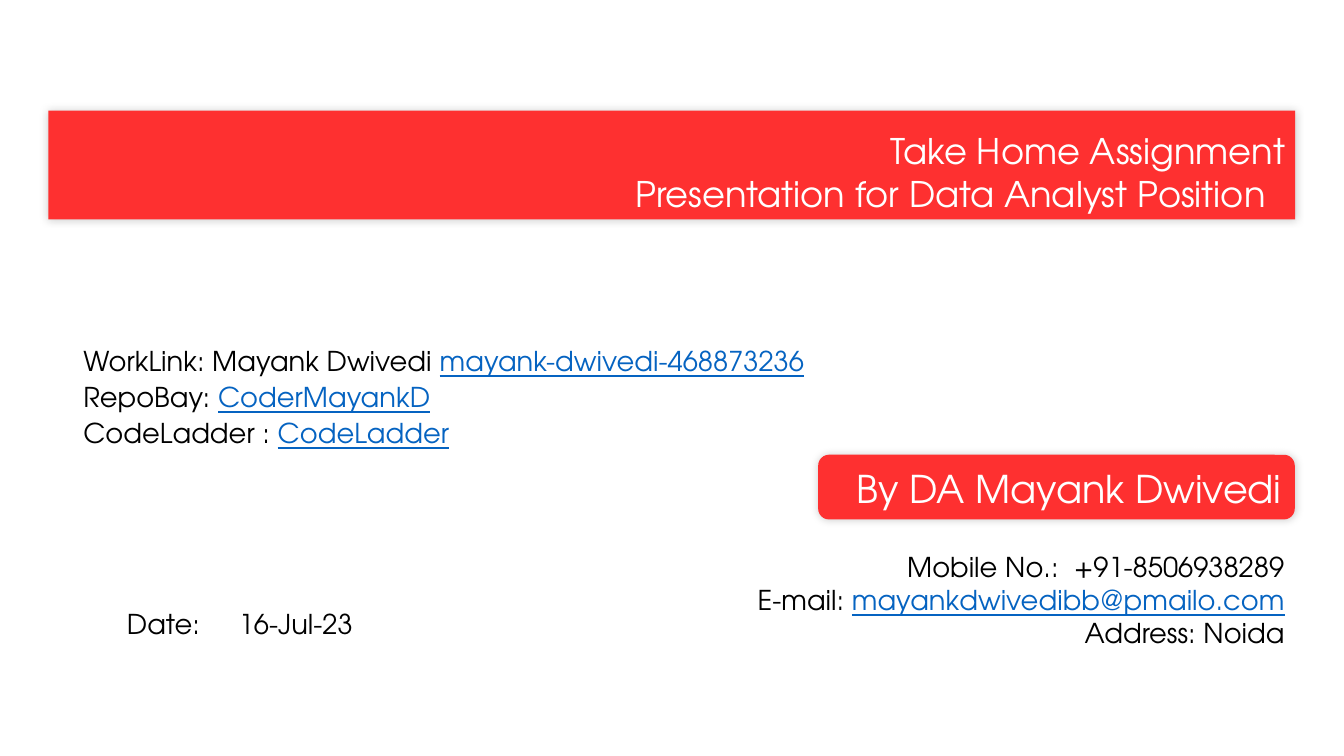
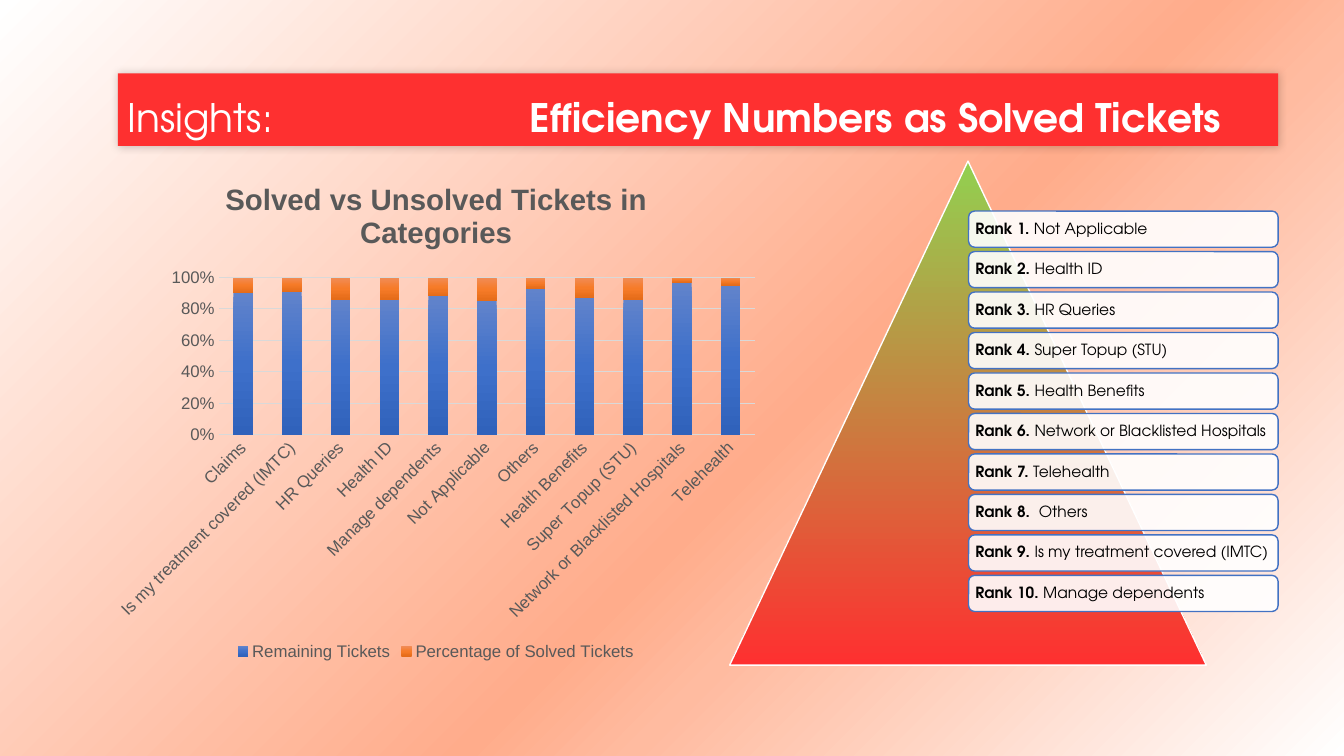
from pptx import Presentation
from pptx.chart.data import CategoryChartData
from pptx.dml.color import RGBColor
from pptx.enum.chart import XL_CHART_TYPE as ChartType, XL_LEGEND_POSITION as LegendSpot, XL_TICK_MARK as Tick
from pptx.enum.shapes import MSO_SHAPE as Preset
from pptx.enum.text import MSO_ANCHOR as Anchor, PP_ALIGN as Align
from pptx.oxml import parse_xml
from pptx.oxml.ns import nsdecls
from pptx.util import Cm, Pt

COLORS = {
    "red": "FE3030", "green": "92D050", "white": "FFFFFF", "black": "000000",
    "link": "0563C1", "border": "4372C3", "label": "595959", "grid": "D9D9D9",
}
RGB = {name: RGBColor.from_string(value) for name, value in COLORS.items()}
FONT = "TeX Gyre Adventor"
DOWN = '<a:lin ang="5400000" scaled="0"/>'


def write(shape, lines, size, color="black", align=Align.LEFT, anchor=Anchor.BOTTOM, spacing=1.0, inset=0.25, tab=None):
    frame = shape.text_frame
    frame.word_wrap = True
    frame.vertical_anchor = anchor
    frame.margin_left = frame.margin_right = Cm(inset)
    frame.margin_top = frame.margin_bottom = Cm(0.13)
    for index, line in enumerate(lines):
        paragraph = frame.add_paragraph() if index else frame.paragraphs[0]
        paragraph.alignment = align
        paragraph.line_spacing = spacing
        if tab:
            paragraph.font.size = Pt(size)
            properties = paragraph.font._element.getparent()
            stops = parse_xml(f'<a:tabLst {nsdecls("a")}><a:tab pos="{Cm(tab)}" algn="l"/></a:tabLst>')
            properties.insert(properties.index(paragraph.font._element), stops)
        for text, style in line:
            run = paragraph.add_run()
            run.text = text
            run.font.name = FONT
            run.font.size = Pt(size)
            run.font.bold = style == "bold"
            run.font.underline = style == "link"
            run.font.color.rgb = RGB["link" if style == "link" else color]


def set_gradient(gradient, stops, direction):
    marks = "".join(
        f'<a:gs pos="{place * 1000}"><a:srgbClr val="{value}"><a:alpha val="{alpha * 1000}"/></a:srgbClr></a:gs>'
        for place, value, alpha in stops
    )
    gradient[:] = list(parse_xml(f'<a:gradFill {nsdecls("a")}><a:gsLst>{marks}</a:gsLst>{direction}</a:gradFill>'))


deck = Presentation()
deck.slide_width, deck.slide_height = Cm(33.87), Cm(19.05)
cover, insights = [deck.slides.add_slide(deck.slide_layouts[6]) for _ in range(2)]

banners = [
    (cover, Preset.RECTANGLE, (1.22, 2.79, 31.42, 2.74), 25.2, Align.RIGHT, None,
     [[("Take Home Assignment", "plain")], [("Presentation for Data Analyst Position  ", "plain")]]),
    (cover, Preset.ROUNDED_RECTANGLE, (20.62, 11.46, 12.01, 1.63), 27.3, Align.RIGHT, None,
     [[("By DA Mayank Dwivedi", "plain")]]),
    (insights, Preset.RECTANGLE, (2.97, 1.85, 29.24, 1.83), 28, Align.LEFT, 10.13,
     [[("Insights:\t", "plain"), ("Efficiency Numbers as Solved Tickets", "bold")]]),
]
for slide, outline, box, size, align, tab, lines in banners:
    banner = slide.shapes.add_shape(outline, *map(Cm, box))
    banner.fill.solid()
    banner.fill.fore_color.rgb = RGB["red"]
    banner.line.fill.background()
    banner.shadow.inherit = False
    banner.element.xpath(".//a:effectLst")[0].append(parse_xml(
        f'<a:outerShdw {nsdecls("a")} blurRad="{Pt(6)}" dist="0"><a:srgbClr val="{COLORS["black"]}">'
        '<a:alpha val="20000"/></a:srgbClr></a:outerShdw>'))
    write(banner, lines, size, "white", align, tab=tab)

details = [
    ((1.85, 13.08, 30.78, 3.4), Align.RIGHT, 1.0, None, [
        [("Mobile No.:  +91-8506938289", "plain")],
        [("E-mail: ", "plain"), ("mayankdwivedibb@pmailo.com", "link")],
        [("Address: Noida", "plain")],
    ]),
    ((1.85, 8.05, 30.78, 3.4), Align.LEFT, 1.1, None, [
        [("WorkLink: Mayank Dwivedi ", "plain"), ("mayank-dwivedi-468873236", "link")],
        [("RepoBay: ", "plain"), ("CoderMayankD", "link")],
        [("CodeLadder : ", "plain"), ("CodeLadder", "link")],
    ]),
    ((2.95, 15.14, 7.11, 1.12), Align.LEFT, 1.0, 2.82, [[("Date:\t16-Jul-23", "plain")]]),
]
for box, align, spacing, tab, lines in details:
    detail = cover.shapes.add_textbox(*map(Cm, box))
    write(detail, lines, 19.5, align=align, spacing=spacing, tab=tab)

insights.background.fill.gradient()
set_gradient(
    insights.element.xpath(".//p:bgPr/a:gradFill")[0],
    [(0, "FFFFFF", 100), (34, "FFBBA0", 27), (42, "FFAC8B", 61), (100, "FFFFFF", 100)],
    '<a:path path="circle"><a:fillToRect l="100000" t="100000"/></a:path><a:tileRect r="-100000" b="-100000"/>',
)

tickets = CategoryChartData()
tickets.categories = [
    "Claims", "Is my treatment covered (IMTC)", "HR Queries", "Health ID", "Manage dependents", "Not Applicable",
    "Others", "Health Benefits", "Super Topup (STU)", "Network or Blacklisted Hospitals", "Telehealth",
]
remaining = [90, 91, 86, 86, 88, 85, 93, 87, 86, 97, 95]
tickets.add_series("Remaining Tickets", remaining)
tickets.add_series("Percentage of Solved Tickets", [100 - value for value in remaining])
chart = insights.shapes.add_chart(
    ChartType.COLUMN_STACKED_100, Cm(2.62), Cm(4.04), Cm(16.74), Cm(12.7), tickets).chart
chart.font.name = "Arial"
chart.font.size = Pt(12)
chart.font.color.rgb = RGB["label"]

chart.has_title = True
heading = chart.chart_title.text_frame.paragraphs[0].add_run()
heading.text = "Solved vs Unsolved Tickets in Categories"
heading.font.name = "Arial"
heading.font.size = Pt(21)
heading.font.bold = True
heading.font.color.rgb = RGB["label"]

chart.has_legend = True
chart.legend.position = LegendSpot.BOTTOM
chart.legend.include_in_layout = False

for axis in (chart.category_axis, chart.value_axis):
    axis.major_tick_mark = axis.minor_tick_mark = Tick.NONE
    axis.tick_labels.font.size = Pt(12)
    axis.tick_labels.font.name = "Arial"
    axis.tick_labels.font.color.rgb = RGB["label"]
chart.category_axis.format.line.color.rgb = RGB["grid"]
chart.category_axis.format.line.width = Pt(1)
chart.element.xpath(".//c:catAx/c:txPr/a:bodyPr")[0].set("rot", "-2700000")
chart.value_axis.format.line.fill.background()
chart.value_axis.tick_labels.number_format = "0%"
chart.value_axis.tick_labels.number_format_is_linked = False
chart.value_axis.major_gridlines.format.line.color.rgb = RGB["grid"]
chart.value_axis.major_gridlines.format.line.width = Pt(0.75)

columns = chart.plots[0]
columns.gap_width = 150
columns.overlap = 100
columns.vary_by_categories = False
shades = [("6183CB", "3E70CA", "3062BB"), ("F18C57", "F67B28", "E56C19")]
for index, (series, shade) in enumerate(zip(columns.series, shades)):
    series.format.fill.gradient()
    set_gradient(
        chart.element.xpath(".//c:ser/c:spPr/a:gradFill")[index],
        [(place, value, 100) for place, value in zip((0, 50, 100), shade)], DOWN)

pyramid = insights.shapes.add_shape(Preset.ISOSCELES_TRIANGLE, Cm(18.39), Cm(4.06), Cm(12.01), Cm(12.7))
pyramid.shadow.inherit = False
pyramid.fill.gradient()
set_gradient(
    pyramid.element.xpath("./p:spPr/a:gradFill")[0],
    [(0, COLORS["green"], 100), (100, COLORS["red"], 100)], DOWN)
pyramid.line.color.rgb = RGB["white"]
pyramid.line.width = Pt(1)

ranking = [
    "Not Applicable", "Health ID", "HR Queries", "Super Topup (STU)", "Health Benefits",
    "Network or Blacklisted Hospitals", "Telehealth", " Others", "Is my treatment covered (IMTC)", "Manage dependents",
]
rank_height, rank_gap = 0.91, 0.11
for index, category in enumerate(ranking):
    top = 5.32 + index * (rank_height + rank_gap)
    rank = insights.shapes.add_shape(Preset.ROUNDED_RECTANGLE, Cm(24.41), Cm(top), Cm(7.8), Cm(rank_height))
    rank.shadow.inherit = False
    rank.fill.solid()
    rank.fill.fore_color.rgb = RGB["white"]
    rank.element.xpath("./p:spPr/a:solidFill/a:srgbClr")[0].append(
        parse_xml(f'<a:alpha {nsdecls("a")} val="90000"/>'))
    rank.line.color.rgb = RGB["border"]
    rank.line.width = Pt(1)
    write(rank, [[(f"Rank {index + 1}. ", "bold"), (category, "plain")]], 11,
          anchor=Anchor.MIDDLE, spacing=0.9, inset=0.13)

deck.save("out.pptx")
